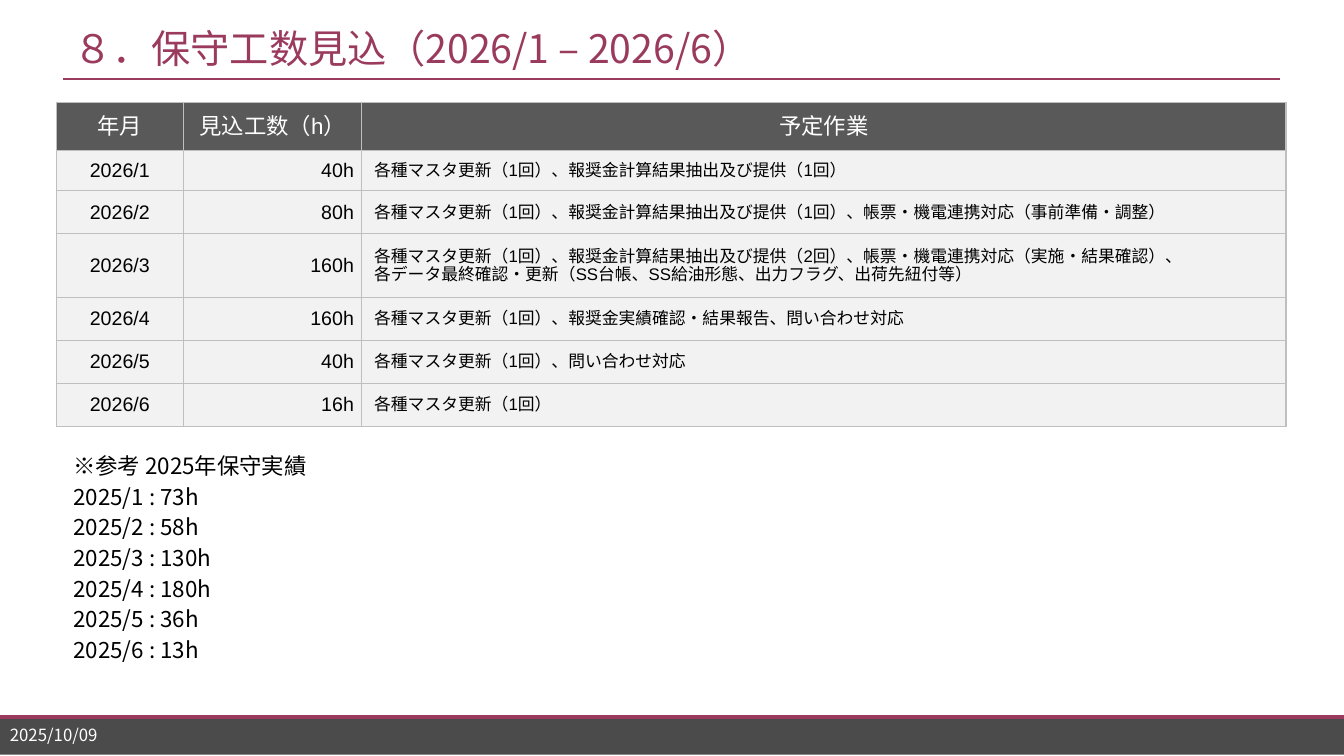
from lxml import etree
from pptx import Presentation
from pptx import util as u
from pptx.dml.color import RGBColor
from pptx.enum import shapes, text
from pptx.oxml.ns import qn

COLORS = {
    "accent": "9A3B5D", "footer": "4B4B4B", "header": "595959", "body": "F2F2F2",
    "border": "BFBFBF", "white": "FFFFFF", "black": "000000",
}
TITLE_FONT, TABLE_FONT = "Noto Sans CJK JP", "Arial"
ALIGN = text.PP_ALIGN
MIDDLE = text.MSO_ANCHOR.MIDDLE

HEADINGS = ["年月", "見込工数（h）", "予定作業"]
PLAN = [
    ("2026/1", "40h", ["各種マスタ更新（1回）、報奨金計算結果抽出及び提供（1回）"]),
    ("2026/2", "80h", ["各種マスタ更新（1回）、報奨金計算結果抽出及び提供（1回）、帳票・機電連携対応（事前準備・調整）"]),
    ("2026/3", "160h", ["各種マスタ更新（1回）、報奨金計算結果抽出及び提供（2回）、帳票・機電連携対応（実施・結果確認）、",
                        "各データ最終確認・更新（SS台帳、SS給油形態、出力フラグ、出荷先紐付等）"]),
    ("2026/4", "160h", ["各種マスタ更新（1回）、報奨金実績確認・結果報告、問い合わせ対応"]),
    ("2026/5", "40h", ["各種マスタ更新（1回）、問い合わせ対応"]),
    ("2026/6", "16h", ["各種マスタ更新（1回）"]),
]
RESULTS = [
    "※参考 2025年保守実績", "2025/1 : 73h", "2025/2 : 58h", "2025/3 : 130h",
    "2025/4 : 180h", "2025/5 : 36h", "2025/6 : 13h",
]
COLUMN_WIDTHS = [3.2, 4.5, 23.29]
ROW_HEIGHTS = [1.21, 1.01, 1.08, 1.61, 1.08, 1.08, 1.08]


def rgb(color):
    return RGBColor.from_string(COLORS[color])


def write_lines(frame, lines, size, font, color, align=ALIGN.LEFT, gap=0, spacing=None):
    """Write one paragraph per line, with gap points between them."""
    for index, line in enumerate(lines):
        paragraph = frame.add_paragraph() if index else frame.paragraphs[0]
        paragraph.alignment = align
        paragraph.space_before = u.Pt(gap if index else 0)
        if spacing:
            paragraph.line_spacing = spacing
        run = paragraph.add_run()
        run.text = line
        run.font.size = u.Pt(size)
        run.font.name = font
        run.font.color.rgb = rgb(color)
        east_asian = etree.SubElement(run.font._element, qn("a:ea"))
        east_asian.set("typeface", font)


def add_text(slide, box, lines, size, color, anchor=MIDDLE, wrap=True, **style):
    frame = slide.shapes.add_textbox(*map(u.Cm, box)).text_frame
    frame.word_wrap = wrap
    frame.vertical_anchor = anchor
    write_lines(frame, lines, size, TITLE_FONT, color, **style)


def add_rule(slide, left, right, top, width):
    rule = slide.shapes.add_connector(
        shapes.MSO_CONNECTOR.STRAIGHT, u.Cm(left), u.Cm(top), u.Cm(right), u.Cm(top))
    rule.line.color.rgb = rgb("accent")
    rule.line.width = u.Pt(width)
    etree.SubElement(rule._element.spPr, qn("a:effectLst"))


def add_footer_band(slide):
    band = slide.shapes.add_shape(
        shapes.MSO_SHAPE.RECTANGLE, 0, u.Cm(18.03), u.Cm(33.87), u.Cm(0.99))
    band.shadow.inherit = False
    band.fill.solid()
    band.fill.fore_color.rgb = rgb("footer")
    band.line.fill.background()


def add_borders(cell):
    properties = cell._tc.get_or_add_tcPr()
    for side in ("L", "R", "T", "B"):
        border = etree.SubElement(properties, qn(f"a:ln{side}"), w=str(u.Pt(1)))
        fill = etree.SubElement(border, qn("a:solidFill"))
        etree.SubElement(fill, qn("a:srgbClr"), val=COLORS["border"])


def fill_cell(cell, lines, size, color, fill, align, left=0.2):
    cell.margin_left = u.Cm(left)
    cell.margin_right = cell.margin_top = cell.margin_bottom = u.Cm(0.2)
    cell.vertical_anchor = MIDDLE
    add_borders(cell)
    cell.fill.solid()
    cell.fill.fore_color.rgb = rgb(fill)
    write_lines(cell.text_frame, lines, size, TABLE_FONT, color, align)


def add_plan_table(slide):
    table = slide.shapes.add_table(
        len(ROW_HEIGHTS), len(COLUMN_WIDTHS), u.Cm(1.42), u.Cm(2.59),
        u.Cm(sum(COLUMN_WIDTHS)), u.Cm(sum(ROW_HEIGHTS))).table
    table.first_row = table.horz_banding = False
    for column, width in zip(table.columns, COLUMN_WIDTHS):
        column.width = u.Cm(width)
    for row, height in zip(table.rows, ROW_HEIGHTS):
        row.height = u.Cm(height)
    for column, heading in enumerate(HEADINGS):
        fill_cell(table.cell(0, column), [heading], 16, "white", "header", ALIGN.CENTER)
    for row, (month, hours, tasks) in enumerate(PLAN, start=1):
        fill_cell(table.cell(row, 0), [month], 14, "black", "body", ALIGN.CENTER)
        fill_cell(table.cell(row, 1), [hours], 14, "black", "body", ALIGN.RIGHT)
        fill_cell(table.cell(row, 2), tasks, 12, "black", "body", ALIGN.LEFT, left=0.31)


def main():
    presentation = Presentation()
    presentation.slide_width, presentation.slide_height = u.Cm(33.87), u.Cm(19.05)
    slide = presentation.slides.add_slide(presentation.slide_layouts[6])
    add_footer_band(slide)
    add_rule(slide, 0, 33.87, 18.06, 2.75)
    add_rule(slide, 1.6, 32.26, 1.98, 1.5)
    add_text(slide, (1.6, 0.51, 30.66, 1.4), ["８．保守工数見込（2026/1 – 2026/6）"],
             28, "accent", wrap=False)
    add_plan_table(slide)
    add_text(slide, (0, 18.21, 3.99, 0.61), ["2025/10/09"], 12, "white")
    add_text(slide, (1.6, 11.38, 19.46, 6.63), RESULTS, 16, "black",
             anchor=text.MSO_ANCHOR.TOP, gap=6, spacing=0.83)
    presentation.save("out.pptx")


if __name__ == "__main__":
    main()
